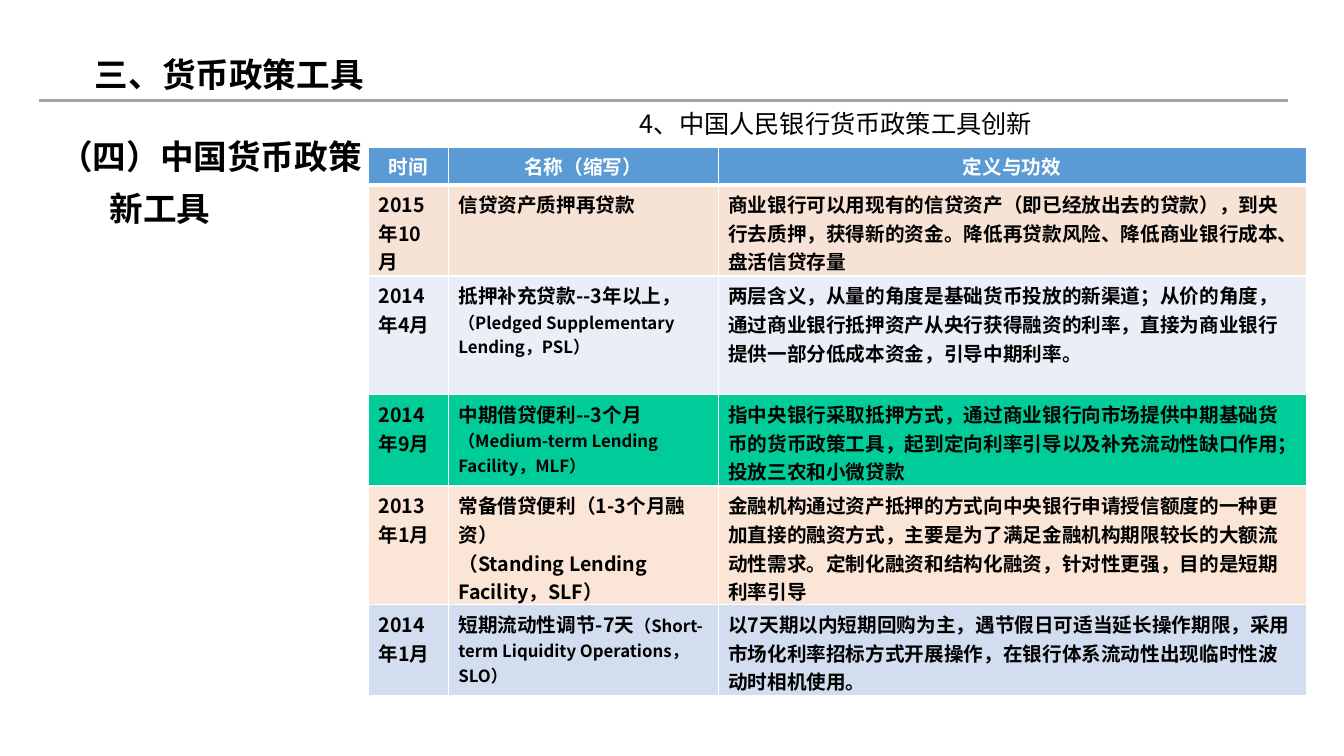
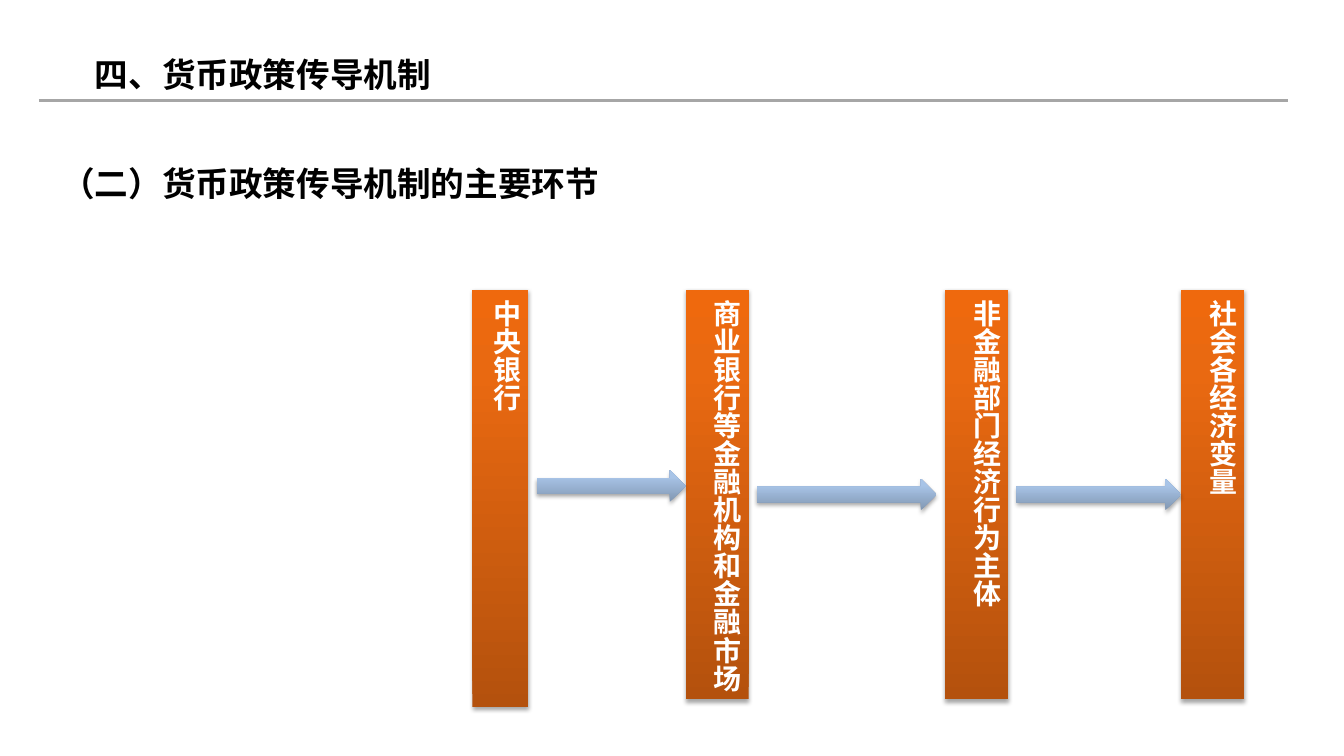
from dataclasses import dataclass
from itertools import pairwise

from lxml.etree import SubElement
from pptx import Presentation
from pptx.dml.color import RGBColor
from pptx.enum.lang import MSO_LANGUAGE_ID
from pptx.enum.shapes import MSO_CONNECTOR, MSO_SHAPE
from pptx.enum.text import MSO_ANCHOR, PP_ALIGN
from pptx.oxml.ns import qn
from pptx.util import Emu, Pt

PX = 9525  # EMU in one px, 96 px to the inch


def px(length):
    return Emu(length * PX)


def rgb(value):
    return RGBColor.from_string(value)


def add_xml(parent, tag, **attributes):
    return SubElement(parent, qn(tag), {key: str(value) for key, value in attributes.items()})


def add_color(parent, value):
    return add_xml(parent, "a:srgbClr", val=value)


@dataclass(frozen=True)
class Theme:
    font: str = "Noto Sans CJK SC"
    ink: str = "000000"
    white: str = "FFFFFF"
    rule: str = "A6A6A6"
    header: str = "5B9BD5"
    peach: str = "F7E3D5"
    pale_blue: str = "EAEFF7"
    green: str = "00CC99"
    light_peach: str = "FBE5D6"
    soft_blue: str = "D2DEEF"
    # Gradients run from bottom to top
    orange: tuple = ((0, "B4510D"), (80, "E96911"), (100, "EF690D"))
    steel: tuple = ((0, "8197B2"), (80, "A8C4E7"), (100, "A8C5E9"))
    title_size: int = 24
    bar_size: int = 20
    caption_size: int = 18
    cell_size: int = 14
    small_size: int = 12


class SlideBuilder:
    def __init__(self, theme):
        self.theme = theme
        self.deck = Presentation()
        self.deck.slide_width, self.deck.slide_height = px(1280), px(720)
        self.page = None

    def new_page(self, title):
        self.page = self.deck.slides.add_slide(self.deck.slide_layouts[6])
        self.rule(37, 1227, 96)
        self.text_box(title, (81, 47, 640, 49), self.theme.title_size, bold=True)

    def rule(self, left, right, top):
        line = self.page.shapes.add_connector(
            MSO_CONNECTOR.STRAIGHT, px(left), px(top), px(right), px(top))
        line.line.color.rgb = rgb(self.theme.rule)
        line.line.width = Pt(2.25)
        add_xml(line.element.spPr, "a:effectLst")

    def span(self, para, text, size, color=None, bold=False):
        span = para.add_run()
        span.text = text
        style = {"name": self.theme.font, "size": Pt(size), "bold": bold,
                 "language_id": MSO_LANGUAGE_ID.SIMPLIFIED_CHINESE}
        for name, value in style.items():
            setattr(span.font, name, value)
        span.font.color.rgb = rgb(color or self.theme.ink)
        add_xml(span.font._element, "a:ea", typeface=self.theme.font)

    def text_box(self, text, area, size, bold=False):
        box = self.page.shapes.add_textbox(*map(px, area))
        box.text_frame.word_wrap = True
        para = box.text_frame.paragraphs[0]
        self.span(para, text, size, bold=bold)
        return para

    def subtitle(self, text, area):
        para = self.text_box(text, area, self.theme.title_size, bold=True)
        para.line_spacing = Pt(37)
        properties = para._p.get_or_add_pPr()
        properties.set("marL", str(px(48)))
        properties.set("indent", str(px(-48)))
        add_xml(add_xml(properties, "a:spcBef"), "a:spcPct", val=40000)

    def shaded_shape(self, kind, area, stops):
        shape = self.page.shapes.add_shape(kind, *map(px, area))
        shape.line.fill.background()
        properties = shape.element.spPr
        gradient = add_xml(properties, "a:gradFill", rotWithShape=1)
        stop_list = add_xml(gradient, "a:gsLst")
        for position, color in stops:
            add_color(add_xml(stop_list, "a:gs", pos=position * 1000), color)
        add_xml(gradient, "a:lin", ang=270 * 60000, scaled=0)
        properties.find(qn("a:ln")).addprevious(gradient)
        # Soft shadow straight below
        effects = add_xml(properties, "a:effectLst")
        shadow = add_xml(effects, "a:outerShdw", blurRad=Pt(3.1), dist=Pt(1.8),
                         dir=90 * 60000, rotWithShape=0)
        add_xml(add_color(shadow, self.theme.ink), "a:alpha", val=35000)
        return shape

    def bar(self, text, area):
        frame = self.shaded_shape(MSO_SHAPE.RECTANGLE, area, self.theme.orange).text_frame
        frame.word_wrap = False
        frame.vertical_anchor = MSO_ANCHOR.TOP
        frame._txBody.bodyPr.set("vert", "eaVert")
        para = frame.paragraphs[0]
        para.alignment = PP_ALIGN.LEFT
        self.span(para, text, self.theme.bar_size, self.theme.white, True)

    def arrow(self, area):
        self.shaded_shape(MSO_SHAPE.RIGHT_ARROW, area, self.theme.steel)

    def cell(self, cell, paragraphs, fill, header=False):
        for index, spans in enumerate(paragraphs):
            frame = cell.text_frame
            para = frame.add_paragraph() if index else frame.paragraphs[0]
            para.alignment = PP_ALIGN.CENTER if header else PP_ALIGN.LEFT
            for text, size in spans:
                self.span(para, text, size, self.theme.white if header else None, True)
        properties = cell._tc.get_or_add_tcPr()
        for side in "LRTB":
            width = 3 if header and side == "B" else 1
            border = add_xml(properties, f"a:ln{side}", w=Pt(width))
            add_color(add_xml(border, "a:solidFill"), self.theme.white)
        cell.fill.solid()
        cell.fill.fore_color.rgb = rgb(fill)

    def table(self, left, top, widths, heights, rows):
        table = self.page.shapes.add_table(
            len(rows), len(widths), px(left), px(top), px(sum(widths)), px(sum(heights))).table
        table.horz_banding = False
        for column, width in zip(table.columns, widths):
            column.width = px(width)
        for row, height in zip(table.rows, heights):
            row.height = px(height)
        for r, (fill, *contents) in enumerate(rows):
            for c, content in enumerate(contents):
                # Plain text is one paragraph of one span
                if isinstance(content, str):
                    content = [[(content, self.theme.cell_size)]]
                self.cell(table.cell(r, c), content, fill, header=r == 0)


def build_tools_page(slides):
    theme = slides.theme
    normal, small = theme.cell_size, theme.small_size
    slides.new_page("三、货币政策工具")

    # Policy tools table
    rows = [
        (theme.header, "时间", "名称（缩写）", "定义与功效"),
        (theme.peach, "2015年10月", "信贷资产质押再贷款",
         "商业银行可以用现有的信贷资产（即已经放出去的贷款），到央行去质押，获得新的资金。"
         "降低再贷款风险、降低商业银行成本、盘活信贷存量"),
        (theme.pale_blue, "2014年4月",
         [[("抵押补充贷款--3年以上，", normal),
           ("（Pledged Supplementary Lending，PSL）", small)]],
         "两层含义，从量的角度是基础货币投放的新渠道；从价的角度，"
         "通过商业银行抵押资产从央行获得融资的利率，直接为商业银行提供一部分低成本资金，引导中期利率。"),
        (theme.green, "2014年9月",
         [[("中期借贷便利--3个月", normal),
           ("（Medium-term Lending Facility，MLF）", small)]],
         "指中央银行采取抵押方式，通过商业银行向市场提供中期基础货币的货币政策工具，"
         "起到定向利率引导以及补充流动性缺口作用；投放三农和小微贷款"),
        (theme.light_peach, "2013年1月",
         [[("常备借贷便利（1-3个月融资）", normal)],
          [("（Standing Lending Facility，SLF）", normal)]],
         "金融机构通过资产抵押的方式向中央银行申请授信额度的一种更加直接的融资方式，"
         "主要是为了满足金融机构期限较长的大额流动性需求。定制化融资和结构化融资，"
         "针对性更强，目的是短期利率引导"),
        (theme.soft_blue, "2014年1月",
         [[("短期流动性调节-7天", normal),
           ("（Short-term Liquidity Operations，SLO）", small)]],
         "以7天期以内短期回购为主，遇节假日可适当延长操作期限，采用市场化利率招标方式开展操作，"
         "在银行体系流动性出现临时性波动时相机使用。"),
    ]
    slides.table(351, 140, (76, 257, 560), (36, 87, 113, 87, 113, 87), rows)

    # Headings
    slides.subtitle("（四）中国货币政策新工具", (47, 114, 316, 463))
    slides.text_box("4、中国人民银行货币政策工具创新", (600, 98, 519, 38), theme.caption_size)


def build_transmission_page(slides):
    slides.new_page("四、货币政策传导机制")
    slides.subtitle("（二）货币政策传导机制的主要环节", (49, 140, 1178, 545))

    # Links of the chain: text, left, width, height
    bars = [
        ("中央银行", 450, 53, 397),
        ("商业银行等金融机构和金融市场", 653, 60, 390),
        ("非金融部门经济行为主体", 900, 60, 390),
        ("社会各经济变量", 1125, 60, 390),
    ]
    for text, left, width, height in bars:
        slides.bar(text, (left, 276, width, height))

    # Arrows fill the gaps: top, space before the next bar
    gap = 8
    for (bar, following), (top, end_gap) in zip(pairwise(bars), ((448, 0), (456, gap), (456, 0))):
        start = bar[1] + bar[2] + gap
        slides.arrow((start, top, following[1] - end_gap - start, 30))


def main():
    slides = SlideBuilder(Theme())
    build_tools_page(slides)
    build_transmission_page(slides)
    slides.deck.save("out.pptx")


if __name__ == "__main__":
    main()
